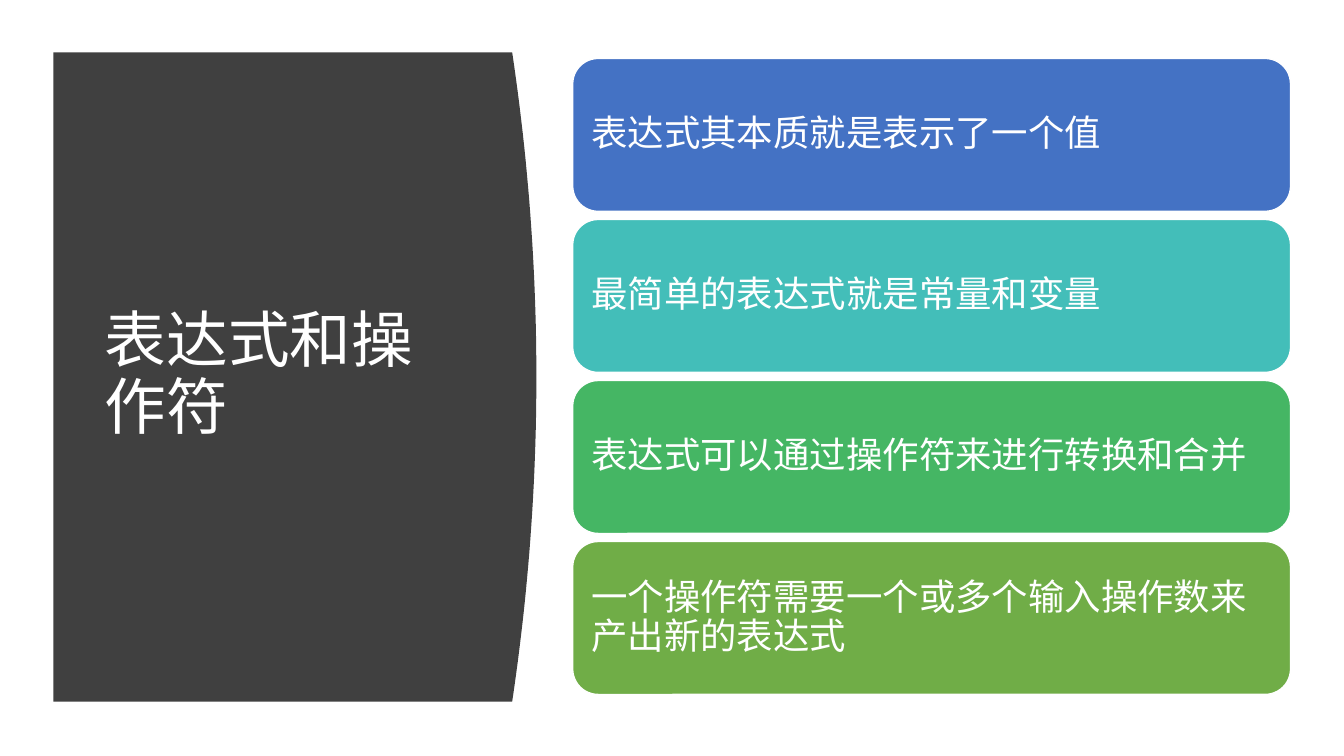
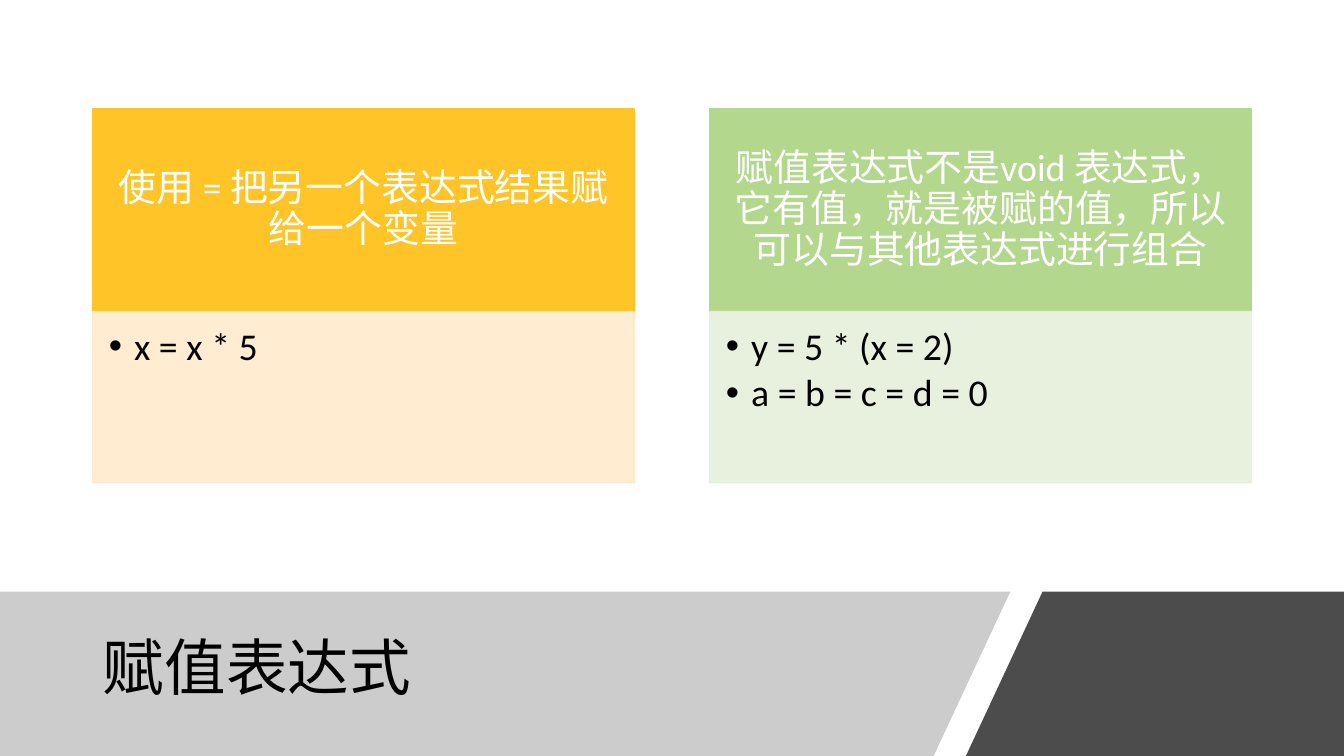
from lxml import etree
from pptx import Presentation
from pptx.dml.color import RGBColor
from pptx.enum.lang import MSO_LANGUAGE_ID
from pptx.enum.shapes import MSO_SHAPE
from pptx.enum.text import MSO_ANCHOR, MSO_AUTO_SIZE, PP_ALIGN
from pptx.oxml.ns import qn
from pptx.util import Inches, Pt

RECT, ROUND = MSO_SHAPE.RECTANGLE, MSO_SHAPE.ROUNDED_RECTANGLE
LEFT, CENTER = PP_ALIGN.LEFT, PP_ALIGN.CENTER
TOP, MIDDLE = MSO_ANCHOR.TOP, MSO_ANCHOR.MIDDLE
NO_FIT = MSO_AUTO_SIZE.NONE
CHINESE = MSO_LANGUAGE_ID.SIMPLIFIED_CHINESE
HEAD, BODY = "Quicksand", "Calibri"
COLORS = {
    "white": "FFFFFF", "black": "000000", "dark": "404040", "gray": "808080",
    "blue": "4472C4", "teal": "43BEB9", "green": "45B664", "olive": "70AD47",
    "gold": "FFC427", "cream": "FFEACD", "lime": "B4D78E", "mint": "E5F0DB",
}
POINTS = [
    ("blue", "表达式其本质就是表示了一个值"),
    ("teal", "最简单的表达式就是常量和变量"),
    ("green", "表达式可以通过操作符来进行转换和合并"),
    ("olive", "一个操作符需要一个或多个输入操作数来产出新的表达式"),
]
CARDS = [
    ("gold", "cream", "使用 = 把另一个表达式结果赋给一个变量", ["x = x * 5"]),
    ("lime", "mint",
     "赋值表达式不是void 表达式，它有值，就是被赋的值，所以可以与其他表达式进行组合",
     ["y = 5 * (x = 2)", "a = b = c = d = 0"]),
]


def color(name):
    """Return the named colour."""
    return RGBColor.from_string(COLORS[name])


def paint(shape, fill, alpha=100, line=None):
    """Set fill, outline and opacity of a shape."""
    shape.shadow.inherit = False
    shape.fill.solid()
    shape.fill.fore_color.rgb = color(fill)
    if line:
        shape.line.color.rgb = color(line)
        shape.line.width = Pt(1)
    else:
        shape.line.fill.background()
    if alpha < 100:
        for node in shape.fill._xPr.iter(qn("a:srgbClr")):
            etree.SubElement(node, qn("a:alpha"), val=str(alpha * 1000))


def write(shape, lines, size, ink, font=BODY, align=LEFT, anchor=MIDDLE,
          inset=(0.1, 0.05, 0.1, 0.05), bullet=False):
    """Fill a shape with styled paragraphs."""
    frame = shape.text_frame
    frame.word_wrap = True
    frame.auto_size = NO_FIT
    frame.vertical_anchor = anchor
    (frame.margin_left, frame.margin_top,
     frame.margin_right, frame.margin_bottom) = map(Inches, inset)
    frame.text = "\n".join(lines)
    for para in frame.paragraphs:
        para.alignment = align
        para.line_spacing = 0.9
        if bullet:
            para.space_after = Pt(4)
            props = para._p.get_or_add_pPr()
            props.set("marL", str(Inches(0.25)))
            props.set("indent", str(Inches(-0.25)))
            etree.SubElement(props, qn("a:buFont"), typeface="Arial")
            etree.SubElement(props, qn("a:buChar"), char="•")
        para.font.size = Pt(size)
        para.font.name = font
        para.font.color.rgb = color(ink)
        para.font.language_id = CHINESE


def block(slide, kind, box, fill, alpha=100, line=None):
    """Add a painted preset shape."""
    shape = slide.shapes.add_shape(kind, *map(Inches, box))
    paint(shape, fill, alpha, line)
    return shape


def panel(slide, points, fill, alpha=100):
    """Add a painted outline behind the title."""
    start, *rest = [(Inches(x), Inches(y)) for x, y in points]
    pen = slide.shapes.build_freeform(*start, scale=1.0)
    pen.add_line_segments(rest)
    shape = pen.convert_to_shape()
    paint(shape, fill, alpha)
    slide.shapes.title._element.addprevious(shape._element)


def begin(deck, text, box, ink):
    """Add a slide with its title placed in the box."""
    slide = deck.slides.add_slide(deck.slide_layouts[5])
    title = slide.shapes.title
    title.left, title.top, title.width, title.height = map(Inches, box)
    write(title, [text], 44, ink, HEAD)
    return slide


def curve(slide, box, bulge=0.24, steps=48):
    """Draw the dark panel with a bowed right edge."""
    x, y, w, h = box
    edge = [(x + w - bulge * (2 * i / steps - 1) ** 2, y + h * i / steps)
            for i in range(steps + 1)]
    panel(slide, [(x, y), *edge, (x, y + h)], "dark")


def stack(slide, box, gap=0.08):
    """Stack the rounded statements in the box."""
    x, y, w, h = box
    each = (h - gap * (len(POINTS) - 1)) / len(POINTS)
    for i, (fill, text) in enumerate(POINTS):
        bar = block(slide, ROUND, (x, y + i * (each + gap), w, each),
                    fill, line="white")
        write(bar, [text], 26, "white", inset=(0.11,) * 4)


def band(slide, box, slant=0.76, gap=0.32, split=10.02):
    """Draw the slanted two-part band at the foot."""
    x, y, w, h = box
    end, foot = x + w, y + h
    cut = x + split
    panel(slide, [(x, y), (cut, y), (cut - slant, foot), (x, foot)], "gray", 40)
    cut += gap
    panel(slide, [(cut, y), (end, y), (end, foot), (cut - slant, foot)],
          "black", 70)


def card(slide, box, item, top=2.01):
    """Draw a heading block with a bulleted block below."""
    x, y, w, h = box
    strong, pale, text, lines = item
    head = block(slide, RECT, (x, y, w, top), strong, line=strong)
    write(head, [text], 27, "white", align=CENTER,
          inset=(0.21, 0.12, 0.21, 0.12))
    body = block(slide, RECT, (x, y + top, w, h - top), pale, 90, pale)
    write(body, lines, 27, "black", anchor=TOP,
          inset=(0.16, 0.16, 0.21, 0.24), bullet=True)


def cards(slide, box, gap=0.75):
    """Place the cards side by side in the box."""
    x, y, w, h = box
    each = (w - gap * (len(CARDS) - 1)) / len(CARDS)
    for i, item in enumerate(CARDS):
        card(slide, (x + i * (each + gap), y, each, h), item)


def main():
    """Build and save the deck."""
    deck = Presentation()
    deck.slide_width, deck.slide_height = Inches(13.33), Inches(7.5)
    slide = begin(deck, "表达式和操作符", (0.94, 1.11, 3.74, 5.24), "white")
    curve(slide, (0.53, 0.52, 4.79, 6.44))
    stack(slide, (5.68, 0.58, 7.12, 6.31))
    slide = begin(deck, "赋值表达式", (0.92, 6.05, 8.44, 1.2), "black")
    band(slide, (0, 5.87, 13.33, 1.63))
    cards(slide, (0.92, 1.08, 11.49, 3.71))
    deck.save("out.pptx")


if __name__ == "__main__":
    main()
